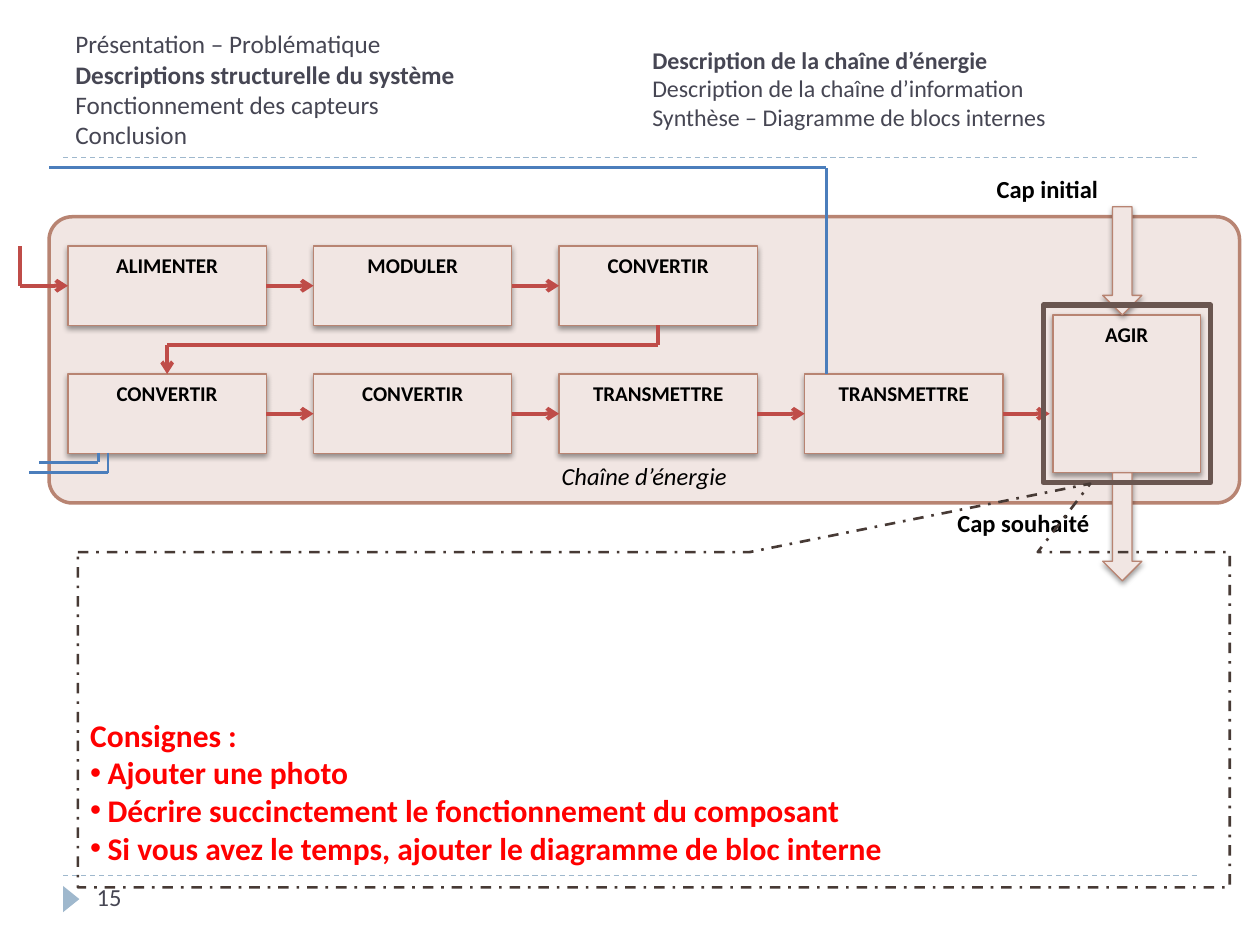
from lxml.etree import SubElement
from pptx import Presentation
from pptx.dml.color import RGBColor
from pptx.enum.dml import MSO_LINE
from pptx.enum.shapes import MSO_CONNECTOR, MSO_SHAPE
from pptx.enum.text import MSO_ANCHOR, PP_ALIGN
from pptx.oxml.ns import qn
from pptx.util import Cm, Pt

COLORS = {
    "rule": "9FB8CD", "heading": "464653", "notice": "FF0000", "black": "000000",
    "panel": "F1E6E3", "edge": "B88472", "energy": "BF4C48", "signal": "4B7EBC",
    "frame": "6A5650", "callout": "473A35",
}


def add_box(kind, place, lines=(), fill=None, edge=None, weight=0.75, dash=None,
            shadow=False, breaks=False, align=None, color="black", font=None, frame=None):
    """Add a preset shape (or a text box if kind is None) with lines of (text, bold)."""
    place = [Cm(value) for value in place]
    if kind is None:
        box = page.shapes.add_textbox(*place)
    else:
        box = page.shapes.add_shape(kind, *place)
        box.shadow.inherit = False
        if fill:
            box.fill.solid()
            box.fill.fore_color.rgb = RGBColor.from_string(COLORS[fill])
        else:
            box.fill.background()
        if edge:
            box.line.color.rgb = RGBColor.from_string(COLORS[edge])
            box.line.width = Pt(weight)
            box.line.dash_style = dash
        else:
            box.line.fill.background()
    if shadow:
        effects = box._element.spPr.find(qn("a:effectLst"))
        outer = SubElement(effects, qn("a:outerShdw"), blurRad="40000", dist="20000",
                           dir="5400000", rotWithShape="0")
        tint = SubElement(outer, qn("a:srgbClr"), val=COLORS["black"])
        SubElement(tint, qn("a:alpha"), val="38000")
    frame_format = {"word_wrap": True, "vertical_anchor": MSO_ANCHOR.TOP} | (frame or {})
    for name, value in frame_format.items():
        setattr(box.text_frame, name, value)
    for index, (text, bold) in enumerate(lines):
        if index == 0:
            para = box.text_frame.paragraphs[0]
        elif breaks:
            para.add_line_break()
        else:
            para = box.text_frame.add_paragraph()
        para.alignment = align
        span = para.add_run()
        span.text = text
        span.font.color.rgb = RGBColor.from_string(COLORS[color])
        span_format = {"name": "Calibri", "size": Pt(14), "bold": bold} | (font or {})
        for name, value in span_format.items():
            setattr(span.font, name, value)
    return box


def add_line(start, end, color, weight, arrow=False, dash=None, source=None, target=None):
    """Add a straight connector; source and target are (box, side) to join."""
    line = page.shapes.add_connector(MSO_CONNECTOR.STRAIGHT,
                                     *[Cm(value) for value in (*start, *end)])
    line.line.color.rgb = RGBColor.from_string(COLORS[color])
    line.line.width = Pt(weight)
    line.line.dash_style = dash
    if arrow:
        SubElement(line.line._get_or_add_ln(), qn("a:tailEnd"), type="arrow")
    SubElement(line._element.spPr, qn("a:effectLst"))
    if source:
        line.begin_connect(*source)
    if target:
        line.end_connect(*target)


deck = Presentation()
deck.slide_width, deck.slide_height = Cm(25.4), Cm(19.05)
page = deck.slides.add_slide(deck.slide_layouts[6])

# Header and footer rules, page marker
for y in (17.65, 3.18):
    add_line((1.27, y), (24.13, y), "rule", 0.75, dash=MSO_LINE.DASH)
marker = add_box(MSO_SHAPE.ISOSCELES_TRIANGLE, (1.17, 17.96, 0.53, 0.33), fill="rule")
marker.rotation = 90

# Headings and page number
middle = {"vertical_anchor": MSO_ANCHOR.MIDDLE}
add_box(None, (1.27, 0.43, 11.23, 2.74), [
    ("Présentation – Problématique", False),
    ("Descriptions structurelle du système", True),
    ("Fonctionnement des capteurs", False),
    ("Conclusion", False),
], breaks=True, color="heading", font={"size": Pt(14.4)}, frame=middle)
add_box(None, (12.9, 0.41, 11.23, 2.74), [
    ("Description de la chaîne d’énergie", True),
    ("Description de la chaîne d’information", False),
    ("Synthèse – Diagramme de blocs internes", False),
], color="heading", font={"size": Pt(13.7)}, frame=middle)
add_box(None, (1.7, 17.65, 5.51, 1.02), [("15", False)], color="heading")

# Instructions
notice = add_box(None, (1.57, 14.3, 22.02, 3.33), [
    ("Consignes :", True),
    ("Ajouter une photo", True),
    ("Décrire succinctement le fonctionnement du composant", True),
    ("Si vous avez le temps, ajouter le diagramme de bloc interne", True),
], color="notice", font={"size": Pt(18)})
for para in notice.text_frame.paragraphs[1:]:
    props = para._p.get_or_add_pPr()
    props.set("marL", str(Cm(0.35)))
    props.set("indent", str(-Cm(0.35)))
    SubElement(props, qn("a:buFont"), typeface="Arial")
    SubElement(props, qn("a:buChar"), char="•")

# Energy chain panel
panel = add_box(MSO_SHAPE.ROUNDED_RECTANGLE, (0.99, 4.37, 24, 5.77),
                [("Chaîne d’énergie", False)], fill="panel", edge="edge", weight=2,
                align=PP_ALIGN.CENTER, font={"italic": True},
                frame={"vertical_anchor": MSO_ANCHOR.BOTTOM})
panel.adjustments[0] = 0.081

# Function blocks on a grid, joined along each row
block_look = {"fill": "panel", "edge": "edge", "shadow": True}
label_look = {"align": PP_ALIGN.CENTER, "font": {"size": Pt(12)}}
left, step, width, height = 1.37, 4.95, 4, 1.6
rows = {4.96: ["ALIMENTER", "MODULER", "CONVERTIR"],
        7.54: ["CONVERTIR", "CONVERTIR", "TRANSMETTRE", "TRANSMETTRE"]}
chain = []
for top, labels in rows.items():
    blocks = [add_box(MSO_SHAPE.RECTANGLE, (left + step * column, top, width, height),
                      [(label, True)], **block_look, **label_look)
              for column, label in enumerate(labels)]
    for before, after in zip(blocks, blocks[1:]):
        add_line((0, 0), (0, 0), "energy", 2.25, arrow=True,
                 source=(before, 3), target=(after, 1))
    chain.append(blocks)
upper, lower = chain
add_box(MSO_SHAPE.RECTANGLE, (21.23, 6.35, 2.97, 3.18), [("AGIR", True)],
        **block_look, **label_look)

# Energy supply, return between rows, and output
add_line((0.41, 4.96), (0.41, 5.76), "energy", 2.25)
add_line((0.41, 5.76), (1.37, 5.76), "energy", 2.25, arrow=True, target=(upper[0], 1))
add_line((13.27, 6.95), (13.27, 6.56), "energy", 2.25, target=(upper[-1], 2))
add_line((3.37, 6.95), (13.27, 6.95), "energy", 2.25)
add_line((3.37, 6.95), (3.37, 7.54), "energy", 2.25, arrow=True, target=(lower[0], 0))
add_line((20.22, 8.34), (21.16, 8.34), "energy", 2.25, arrow=True, source=(lower[-1], 3))

# Heading in and out
for top in (4.17, 9.53):
    add_box(MSO_SHAPE.DOWN_ARROW, (22.23, top, 0.79, 2.18), **block_look)
for text, place in {"Cap initial": (19.84, 3.38, 2.59, 0.86),
                    "Cap souhaité": (19.05, 10.11, 3.2, 0.86)}.items():
    add_box(None, place, [(text, True)], frame={"word_wrap": False})

# Signal lines
for points in ([(16.66, 7.54), (16.66, 3.38), (0.99, 3.38)],
               [(1.98, 9.13), (1.98, 9.32), (0.79, 9.32)],
               [(2.18, 9.13), (2.18, 9.53), (0.58, 9.53)]):
    for start, end in zip(points, points[1:]):
        add_line(start, end, "signal", 1.5)

# Highlight frame and its callout
add_box(MSO_SHAPE.RECTANGLE, (21.03, 6.15, 3.38, 3.58), edge="frame", weight=3)
callout = add_box(MSO_SHAPE.RECTANGULAR_CALLOUT, (1.57, 11.13, 23.22, 6.76),
                  edge="callout", weight=1.5, dash=MSO_LINE.DASH_DOT)
callout.adjustments[0] = 0.379
callout.adjustments[1] = -0.704

deck.save("out.pptx")
